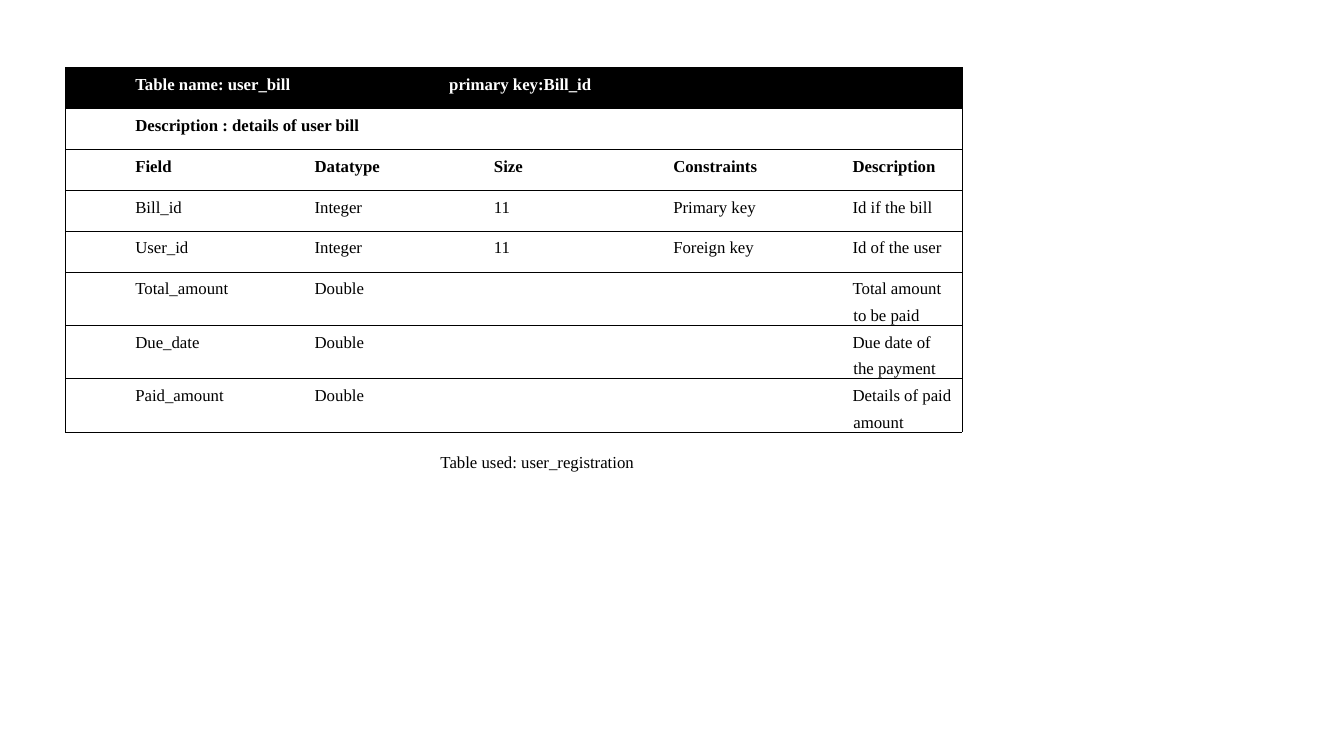
"""Build a slide describing the user_bill database table."""
from dataclasses import dataclass

from lxml import etree
from pptx import Presentation
from pptx.dml.color import RGBColor
from pptx.enum.text import MSO_AUTO_SIZE
from pptx.oxml.ns import qn
from pptx.util import Cm, Pt

SHAPE_TO_FIT_TEXT = MSO_AUTO_SIZE.SHAPE_TO_FIT_TEXT
BLACK, WHITE = "000000", "FFFFFF"
COLUMN_WIDTH, ROW_HEIGHT = Cm(4.52), Cm(1.03)
COLUMN_COUNT = 5
SIDE_MARGIN, HEADER_MARGIN = Cm(0.18), Cm(1.76)
TEXT_INDENT, FIRST_LINE_INDENT = Cm(1.6), Cm(-0.02)
KEY_TAB = Cm(7.91)


@dataclass(frozen=True)
class TableRow:
    texts: tuple[str, ...]
    bold: bool = False
    header: bool = False

    @property
    def merged(self) -> bool:
        return len(self.texts) == 1


ROWS = (
    TableRow(("Table name: user_bill\tprimary key:Bill_id",), bold=True, header=True),
    TableRow(("Description : details of user bill",), bold=True),
    TableRow(("Field", "Datatype", "Size", "Constraints", "Description"), bold=True),
    TableRow(("Bill_id", "Integer", "11", "Primary key", "Id if the bill")),
    TableRow(("User_id", "Integer", "11", "Foreign key", "Id of the user")),
    TableRow(("Total_amount", "Double", "", "", "Total amount to be paid")),
    TableRow(("Due_date", "Double", "", "", "Due date of the payment")),
    TableRow(("Paid_amount", "Double", "", "", "Details of paid amount")),
)


def rgb(color: str) -> RGBColor:
    """Turn a hex string into a colour."""
    return RGBColor.from_string(color)


def write_run(paragraph, text: str, color: str = BLACK, bold: bool = False) -> None:
    """Add one formatted run to a paragraph."""
    run = paragraph.add_run()
    run.text = text
    font_format = {"name": "Times New Roman", "size": Pt(12), "bold": bold}
    for name, value in font_format.items():
        setattr(run.font, name, value)
    run.font.color.rgb = rgb(color)


def set_borders(cell, visible_sides: str) -> None:
    """Draw the visible sides of a cell and hide the others."""
    properties = cell._tc.get_or_add_tcPr()
    for side in "LRTB":
        line = etree.SubElement(properties, qn(f"a:ln{side}"), w=str(Pt(0.5)))
        if side in visible_sides:
            fill = etree.SubElement(line, qn("a:solidFill"))
            etree.SubElement(fill, qn("a:srgbClr"), val=BLACK)
        else:
            etree.SubElement(line, qn("a:noFill"))


def set_indent(paragraph, header: bool) -> None:
    """Indent a body paragraph, or give the header its tab stop."""
    properties = paragraph._p.get_or_add_pPr()
    if header:
        tabs = etree.SubElement(properties, qn("a:tabLst"))
        etree.SubElement(tabs, qn("a:tab"), pos=str(KEY_TAB), algn="l")
    else:
        properties.set("marL", str(TEXT_INDENT))
        properties.set("indent", str(FIRST_LINE_INDENT))
    paragraph.line_spacing = 1.43


def fill_cell(cell, text: str, row: TableRow, visible_sides: str) -> None:
    """Format one cell and write its text."""
    set_borders(cell, visible_sides)
    if row.header:
        cell.fill.solid()
        cell.fill.fore_color.rgb = rgb(BLACK)
    else:
        cell.fill.background()
    margins = {
        "margin_left": HEADER_MARGIN if row.header else SIDE_MARGIN,
        "margin_right": SIDE_MARGIN,
        "margin_top": 0,
        "margin_bottom": 0,
    }
    for name, value in margins.items():
        setattr(cell, name, value)
    if text:
        paragraph = cell.text_frame.paragraphs[0]
        set_indent(paragraph, row.header)
        write_run(paragraph, text, WHITE if row.header else BLACK, row.bold)


def add_bill_table(slide) -> None:
    """Add the table of fields."""
    table = slide.shapes.add_table(
        len(ROWS), COLUMN_COUNT, Cm(1.65), Cm(1.7),
        COLUMN_WIDTH * COLUMN_COUNT, ROW_HEIGHT * len(ROWS),
    ).table
    table.first_row = table.horz_banding = False
    for row_index, row in enumerate(ROWS):
        if row.merged:
            table.cell(row_index, 0).merge(table.cell(row_index, COLUMN_COUNT - 1))
        for column_index in range(COLUMN_COUNT):
            text = row.texts[column_index] if column_index < len(row.texts) else ""
            left = "L" if column_index == 0 else ""
            right = "R" if row.merged or column_index == COLUMN_COUNT - 1 else ""
            fill_cell(table.cell(row_index, column_index), text, row, f"TB{left}{right}")


def add_caption(slide) -> None:
    """Add the line below the table."""
    frame = slide.shapes.add_textbox(Cm(10.85), Cm(11.25), Cm(5.46), Cm(0.77)).text_frame
    frame.word_wrap = False
    frame.auto_size = SHAPE_TO_FIT_TEXT
    write_run(frame.paragraphs[0], "Table used: user_registration")


def main() -> None:
    """Create and save the presentation."""
    presentation = Presentation()
    presentation.slide_width, presentation.slide_height = Cm(33.87), Cm(19.05)
    slide = presentation.slides.add_slide(presentation.slide_layouts[6])
    add_bill_table(slide)
    add_caption(slide)
    presentation.save("out.pptx")


if __name__ == "__main__":
    main()
